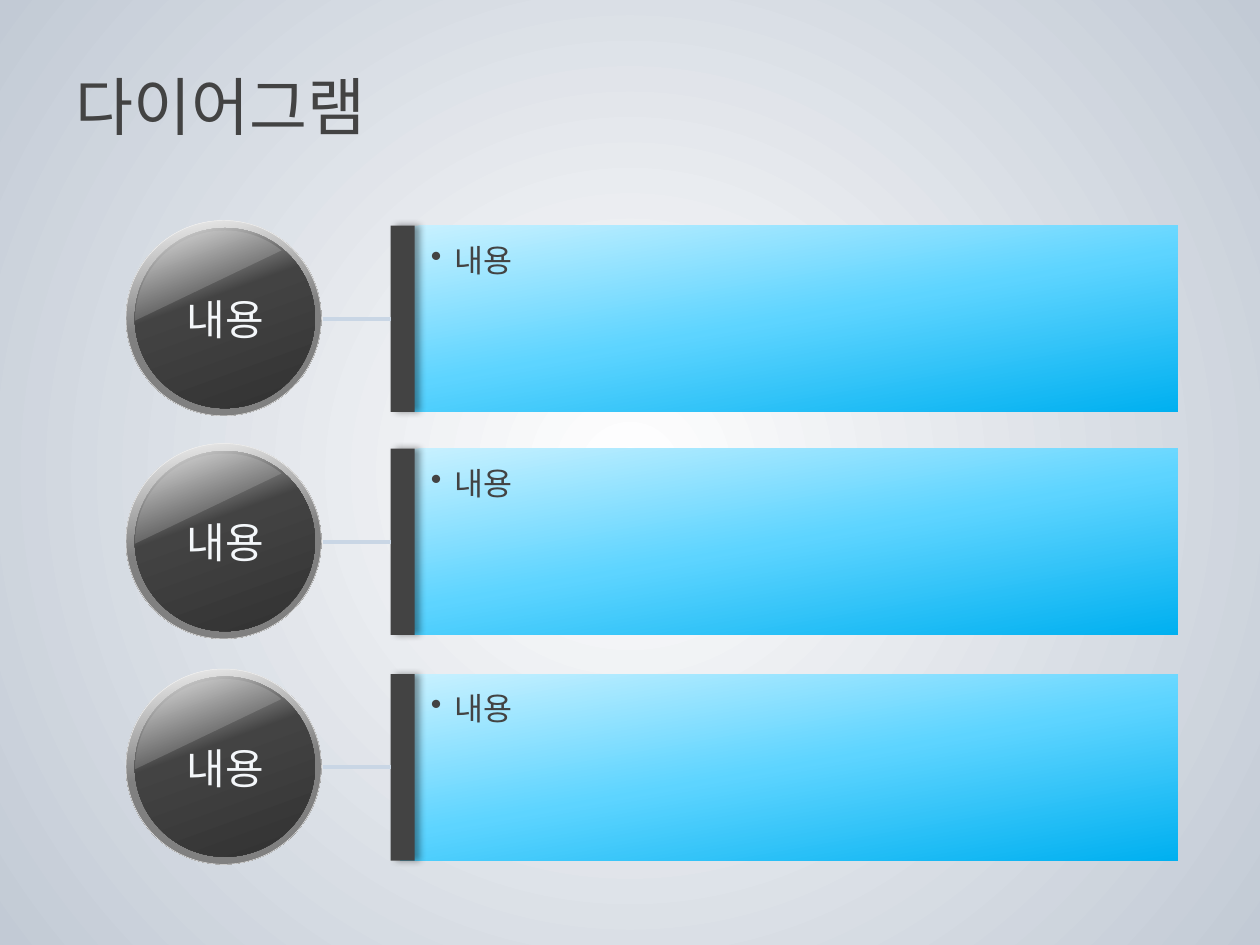
from lxml.etree import SubElement
from pptx import Presentation
from pptx.dml.color import RGBColor
from pptx.enum.shapes import MSO_CONNECTOR, MSO_SHAPE
from pptx.enum.text import MSO_ANCHOR, MSO_AUTO_SIZE, PP_ALIGN
from pptx.oxml.ns import qn
from pptx.util import Inches, Pt

THEME = {
    "font": "Karla",
    "title_size": 36,
    "label_size": 24,
    "panel_size": 18,
    "dark": "434343",
    "label": "F4F7FA",
    "rim": "F2F2F2",
    "gloss": "D9D9D9",
    "connector": "C9D6E5",
    "shadow": "000000",
    "background_stops": [(0, "FFFFFF"), (100, "C2CAD5")],
    "rim_stops": [(0, "F2F2F2"), (50, "808080"), (100, "808080")],
    "button_stops": [(0, "ECECEC"), (40, "434343"), (100, "323232")],
    "panel_stops": [(0, "C9F1FF"), (50, "5DD4FF"), (100, "00B0F0")],
}


def set_gradient(properties, stops, angle=None):
    solid = properties.find(qn("a:solidFill"))
    gradient = SubElement(properties, qn("a:gradFill"), rotWithShape="1")
    properties.replace(solid, gradient)
    stop_list = SubElement(gradient, qn("a:gsLst"))
    for position, color in stops:
        stop = SubElement(stop_list, qn("a:gs"), pos=str(position * 1000))
        SubElement(stop, qn("a:srgbClr"), val=color)
    if angle is None:
        circle = SubElement(gradient, qn("a:path"), path="circle")
        SubElement(circle, qn("a:fillToRect"), l="50000", t="50000", r="50000", b="50000")
    else:
        SubElement(gradient, qn("a:lin"), ang=str(angle * 60000), scaled="0")


def write_text(text_frame, text, size, color, alignment, frame_format):
    for name, value in frame_format.items():
        setattr(text_frame, name, value)
    paragraph = text_frame.paragraphs[0]
    paragraph.alignment = alignment
    run = paragraph.add_run()
    run.text = text
    for name, value in {"name": THEME["font"], "size": Pt(size)}.items():
        setattr(run.font, name, value)
    run.font.color.rgb = RGBColor.from_string(color)
    return paragraph


presentation = Presentation()
presentation.slide_width = Inches(10)
presentation.slide_height = Inches(7.5)
slide = presentation.slides.add_slide(presentation.slide_layouts[5])

slide.background.fill.solid()
slide.background.fill.fore_color.rgb = RGBColor.from_string("FFFFFF")
set_gradient(slide.element.find(".//" + qn("p:bgPr")), THEME["background_stops"])

title = slide.shapes.title
title_place = {"left": 0.5, "top": 0.33, "width": 9, "height": 1.01}
for name, value in title_place.items():
    setattr(title, name, Inches(value))
write_text(title.text_frame, "다이어그램", THEME["title_size"], THEME["dark"],
           PP_ALIGN.LEFT, {"vertical_anchor": MSO_ANCHOR.MIDDLE})

label_format = {
    "word_wrap": False,
    "auto_size": MSO_AUTO_SIZE.SHAPE_TO_FIT_TEXT,
    "vertical_anchor": MSO_ANCHOR.MIDDLE,
}
panel_format = {
    "word_wrap": True,
    "vertical_anchor": MSO_ANCHOR.TOP,
    "margin_left": Inches(0.24),
    "margin_top": Inches(0.12),
    "margin_right": Inches(0.1),
    "margin_bottom": Inches(0.05),
}
row_parts = {
    "rim": (MSO_SHAPE.OVAL, 1, 0, 1.55, 1.55, THEME["rim"]),
    "button": (MSO_SHAPE.OVAL, 1.07, 0.06, 1.43, 1.43, THEME["dark"]),
    "gloss": (MSO_SHAPE.CHORD, 1.07, 0.08, 1.43, 1.43, THEME["gloss"]),
    "panel": (MSO_SHAPE.RECTANGLE, 3.18, 0.04, 6.17, 1.48, THEME["dark"]),
    "bar": (MSO_SHAPE.RECTANGLE, 3.1, 0.04, 0.19, 1.48, THEME["dark"]),
}
gradients = {
    "rim": (THEME["rim_stops"], 80),
    "button": (THEME["button_stops"], 70),
    "panel": (THEME["panel_stops"], 80),
}

for row_top in (1.75, 3.52, 5.31):
    button_group = slide.shapes.add_group_shape()
    panel_group = slide.shapes.add_group_shape()
    parts = {}
    for name, (kind, left, offset, width, height, color) in row_parts.items():
        group = panel_group if name in ("panel", "bar") else button_group
        shape = group.shapes.add_shape(
            kind, Inches(left), Inches(row_top + offset), Inches(width), Inches(height))
        shape.shadow.inherit = False
        shape.fill.solid()
        shape.fill.fore_color.rgb = RGBColor.from_string(color)
        shape.line.fill.background()
        if name in gradients:
            set_gradient(shape.element.spPr, *gradients[name])
        parts[name] = shape

    parts["rim"].line.color.rgb = RGBColor.from_string(THEME["rim"])
    parts["rim"].line.width = Pt(0.25)

    gloss = parts["gloss"]
    gloss.rotation = 90
    gloss.adjustments[0] = 53.95
    gloss.adjustments[1] = 131.3
    gloss_color = gloss.element.spPr.find(qn("a:solidFill") + "/" + qn("a:srgbClr"))
    SubElement(gloss_color, qn("a:alpha"), val="20000")

    effects = parts["bar"].element.spPr.find(qn("a:effectLst"))
    shadow = SubElement(effects, qn("a:outerShdw"), blurRad=str(Pt(4)), dist=str(Pt(3)),
                        dir="0", algn="l", rotWithShape="0")
    shadow_color = SubElement(shadow, qn("a:srgbClr"), val=THEME["shadow"])
    SubElement(shadow_color, qn("a:alpha"), val="40000")

    label = slide.shapes.add_textbox(
        Inches(1.36), Inches(row_top + 0.53), Inches(0.86), Inches(0.5))
    write_text(label.text_frame, "내용", THEME["label_size"], THEME["label"],
               PP_ALIGN.CENTER, label_format)

    paragraph = write_text(parts["panel"].text_frame, "내용", THEME["panel_size"],
                           THEME["dark"], PP_ALIGN.LEFT, panel_format)
    paragraph_properties = paragraph._p.get_or_add_pPr()
    paragraph_properties.set("marL", str(Inches(0.19)))
    paragraph_properties.set("indent", str(Inches(-0.19)))
    SubElement(paragraph_properties, qn("a:buChar"), char="•")

    middle = Inches(row_top + 0.78)
    connector = slide.shapes.add_connector(
        MSO_CONNECTOR.STRAIGHT, Inches(2.56), middle, Inches(3.1), middle)
    connector.end_connect(parts["bar"], 1)
    connector.line.color.rgb = RGBColor.from_string(THEME["connector"])
    connector.line.width = Pt(2.25)
    SubElement(connector.element.spPr, qn("a:effectLst"))

presentation.save("out.pptx")
